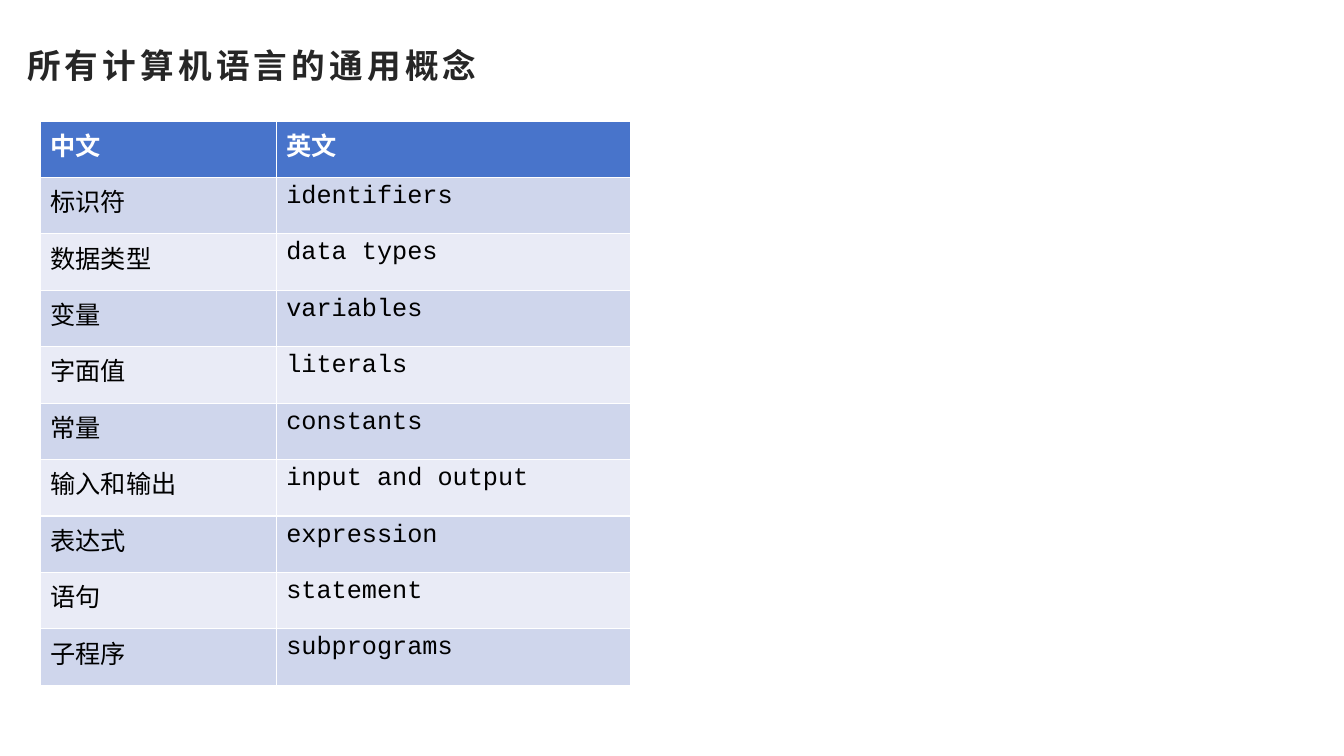
from pptx import Presentation
from pptx.dml.color import RGBColor
from pptx.enum.text import MSO_ANCHOR
from pptx.util import Inches, Pt

CODE_FONT = "Courier New"
HEADER_FILL = "4874CB"
BAND_FILLS = ["CFD6EC", "E9EBF6"]
COLUMN_WIDTHS = [2.34, 3.51]
ROW_HEIGHT = 0.56
HEADINGS = ("中文", "英文")
CONCEPTS = [
    ("标识符", "identifiers"),
    ("数据类型", "data types"),
    ("变量", "variables"),
    ("字面值", "literals"),
    ("常量", "constants"),
    ("输入和输出", "input and output"),
    ("表达式", "expression"),
    ("语句", "statement"),
    ("子程序", "subprograms"),
]


def color(value):
    """Turn a hex string into a colour."""
    return RGBColor.from_string(value)


def write(frame, text, size=18, font=CODE_FONT, fill="000000", bold=False, spacing=0):
    """Put one formatted run into a text frame; spacing is in points."""
    span = frame.paragraphs[0].add_run()
    span.text = text
    span.font.size = Pt(size)
    span.font.name = font
    span.font.bold = bold
    span.font.color.rgb = color(fill)
    properties = span._r.get_or_add_rPr()
    properties.set("lang", "zh-CN")
    if spacing:
        properties.set("spc", str(spacing * 100))


deck = Presentation()
deck.slide_width, deck.slide_height = Inches(13.33), Inches(7.5)
page = deck.slides.add_slide(deck.slide_layouts[6])

title = page.shapes.add_textbox(Inches(0.17), Inches(0.26), Inches(12), Inches(0.77))
title.text_frame.word_wrap = True
title.text_frame.vertical_anchor = MSO_ANCHOR.MIDDLE
write(title.text_frame, "所有计算机语言的通用概念", size=24, fill="262626", bold=True, spacing=3)

# The default table style supplies the white rules, thicker below the header.
rows = [HEADINGS] + CONCEPTS
table = page.shapes.add_table(
    len(rows), len(COLUMN_WIDTHS), Inches(0.4), Inches(1.2),
    Inches(sum(COLUMN_WIDTHS)), Inches(ROW_HEIGHT * len(rows)),
).table
for column, width in zip(table.columns, COLUMN_WIDTHS):
    column.width = Inches(width)

for row_index, words in enumerate(rows):
    table.rows[row_index].height = Inches(ROW_HEIGHT)
    is_header = row_index == 0
    is_edge = row_index in (0, 1, len(rows) - 1)
    for column_index, word in enumerate(words):
        cell = table.cell(row_index, column_index)
        cell.fill.solid()
        cell.fill.fore_color.rgb = color(HEADER_FILL if is_header else BAND_FILLS[(row_index - 1) % 2])
        write(
            cell.text_frame, word,
            font=CODE_FONT if is_edge or column_index == 1 else "Quicksand",
            fill="FFFFFF" if is_header else "000000",
            bold=is_header,
        )

deck.save("out.pptx")
